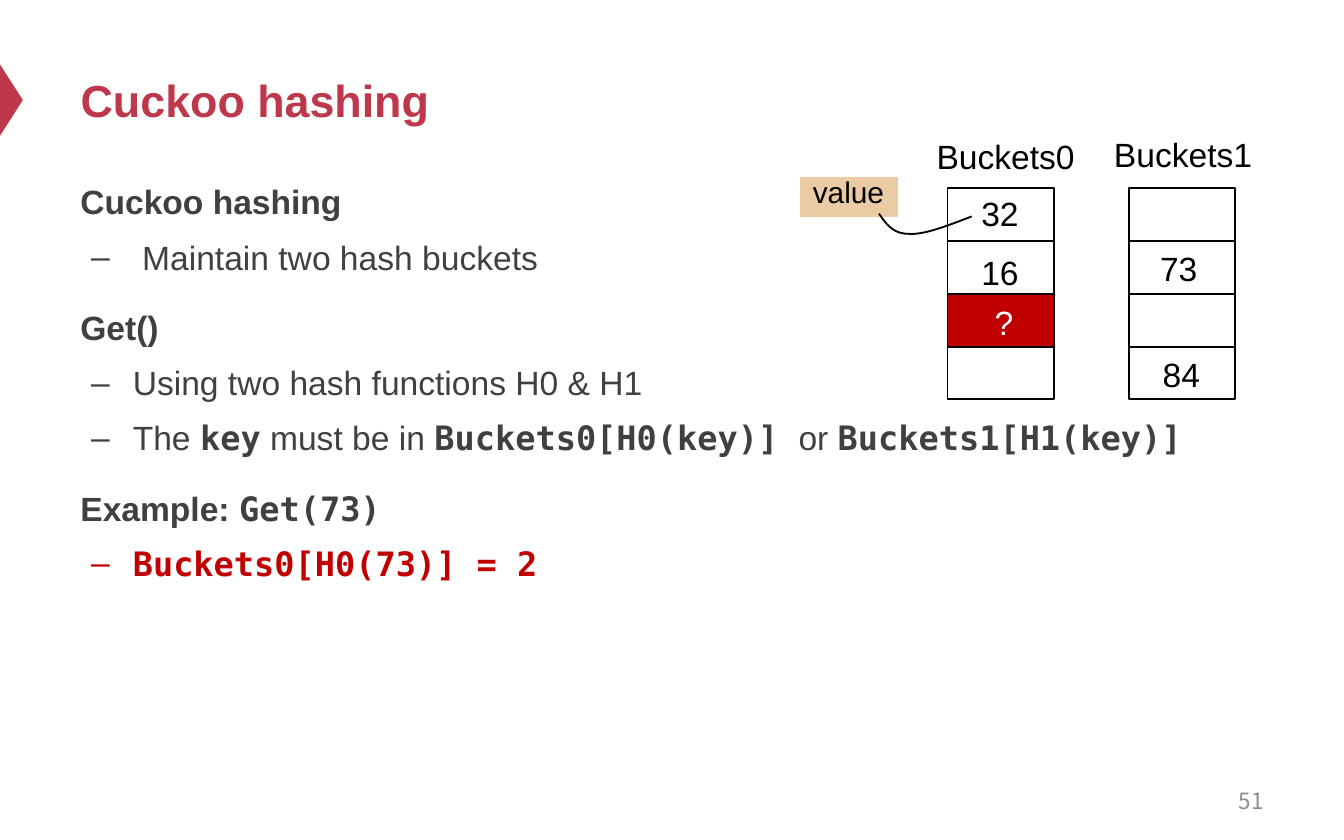
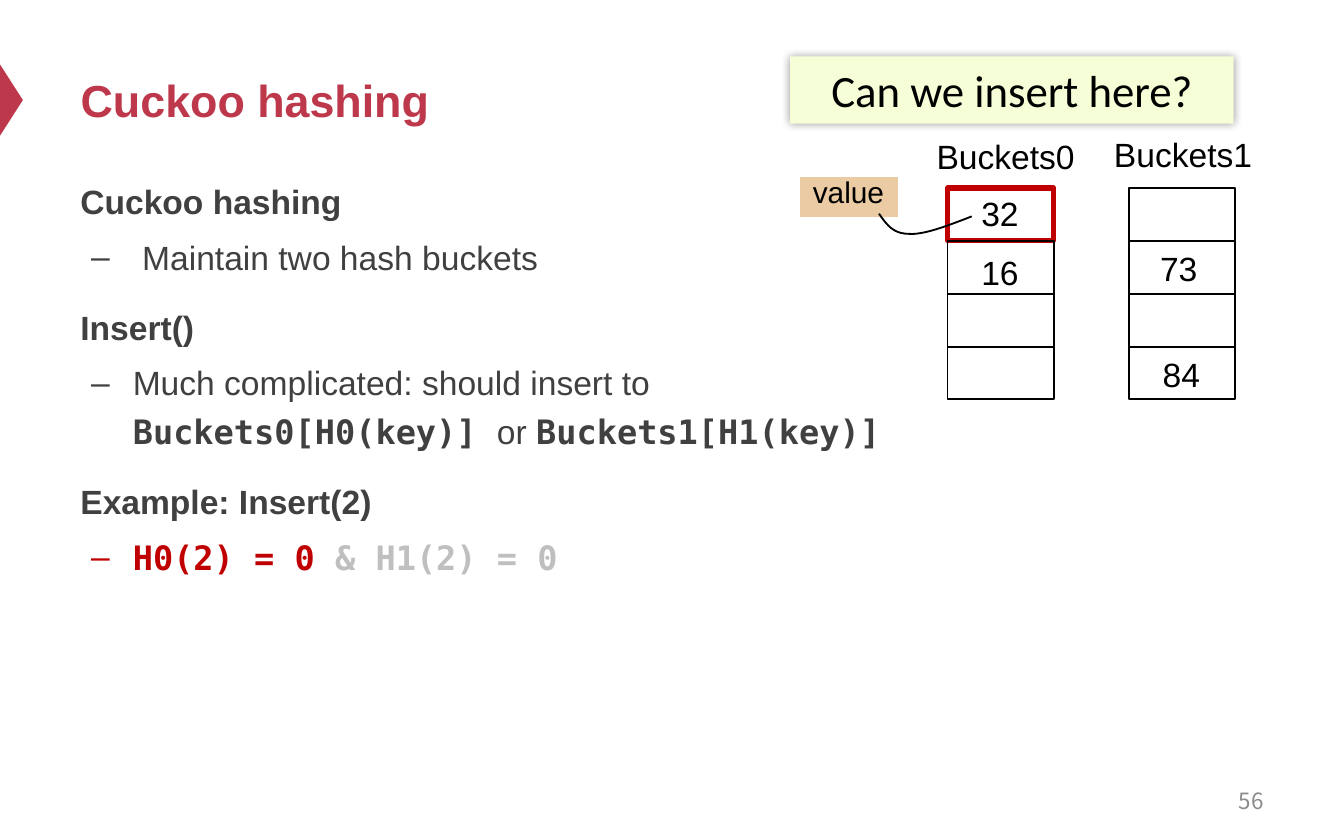
from dataclasses import dataclass

from lxml import etree
from pptx import Presentation
from pptx.dml.color import RGBColor
from pptx.enum.shapes import MSO_SHAPE
from pptx.enum.text import MSO_ANCHOR, MSO_AUTO_SIZE, PP_ALIGN
from pptx.oxml.ns import qn
from pptx.util import Inches, Pt

RECTANGLE = MSO_SHAPE.RECTANGLE
TRIANGLE = MSO_SHAPE.ISOSCELES_TRIANGLE
TOP, MIDDLE = MSO_ANCHOR.TOP, MSO_ANCHOR.MIDDLE
LEFT, CENTER, RIGHT = PP_ALIGN.LEFT, PP_ALIGN.CENTER, PP_ALIGN.RIGHT
NO_AUTOFIT = MSO_AUTO_SIZE.NONE
TITLE_ONLY = 5


@dataclass(frozen=True)
class Theme:
    accent: str = "BE384B"
    body: str = "404040"
    black: str = "000000"
    white: str = "FFFFFF"
    red: str = "C00000"
    faded: str = "BFBFBF"
    number: str = "8C8C8C"
    tag: str = "EACBA3"
    callout: str = "F5FED6"
    sans: str = "Arial"
    mono: str = "DejaVu Sans Mono"
    callout_font: str = "Calibri"
    number_font: str = "Noto Sans CJK SC"
    title_size: int = 24
    body_size: int = 18
    tag_size: int = 16
    number_size: int = 12


THEME = Theme()

# Run formats used in the body text
PLAIN = {}
BOLD = {"bold": True}
CODE = {"bold": True, "font": THEME.mono}
RED_CODE = {**CODE, "color": THEME.red}
FADED_CODE = {**CODE, "color": THEME.faded}

# Bucket geometry
CELL_WIDTH, CELL_HEIGHT = 0.79, 0.39
CELL_PITCH = 0.394
VALUE_WIDTH, VALUE_HEIGHT = 0.48, 0.4


def add_span(para, text, font=THEME.sans, size=THEME.body_size,
             color=THEME.body, bold=False):
    span = para.add_run()
    span.text = text
    span.font.name = font
    span.font.size = Pt(size)
    span.font.bold = bold
    span.font.color.rgb = RGBColor.from_string(color)


def write_text(shape, text, align=LEFT, anchor=TOP, wrap=True, **style):
    frame = shape.text_frame
    frame.word_wrap = wrap
    frame.auto_size = NO_AUTOFIT
    frame.vertical_anchor = anchor
    para = frame.paragraphs[0]
    para.alignment = align
    add_span(para, text, **style)


def add_box(page, box):
    return page.shapes.add_textbox(*map(Inches, box))


def paint(shape, fill=None, line=None, weight=1):
    shape.shadow.inherit = False
    if fill:
        shape.fill.solid()
        shape.fill.fore_color.rgb = RGBColor.from_string(fill)
    else:
        shape.fill.background()
    if line:
        shape.line.color.rgb = RGBColor.from_string(line)
        shape.line.width = Pt(weight)
    else:
        shape.line.fill.background()


def add_block(page, kind, box, **look):
    shape = page.shapes.add_shape(kind, *map(Inches, box))
    paint(shape, **look)
    return shape


def add_page(deck, title, number):
    page = deck.slides.add_slide(deck.slide_layouts[TITLE_ONLY])
    # Marker at the left edge
    marker = add_block(page, TRIANGLE, (-0.18, 0.66, 0.53, 0.17),
                       fill=THEME.accent)
    marker.rotation = 90
    # Title
    heading = page.shapes.title
    heading.left, heading.top = Inches(0.5), Inches(0.25)
    heading.width, heading.height = Inches(9), Inches(0.98)
    write_text(heading, title, anchor=MIDDLE, size=THEME.title_size,
               color=THEME.accent, bold=True)
    # Page number
    write_text(add_box(page, (7.17, 5.79, 2.33, 0.33)), str(number),
               align=RIGHT, anchor=MIDDLE, font=THEME.number_font,
               size=THEME.number_size, color=THEME.number)
    return page


def add_dash(para):
    para.level = 1
    properties = para._p.get_or_add_pPr()
    properties.set("marL", str(Inches(0.39)))
    properties.set("indent", str(Inches(-0.31)))
    etree.SubElement(properties, qn("a:buFont")).set("typeface", THEME.sans)
    etree.SubElement(properties, qn("a:buChar")).set("char", "–")


def add_body(page, box, sections):
    frame = add_box(page, box).text_frame
    frame.word_wrap = True
    rows = [(index == 0, spans) for section in sections
            for index, spans in enumerate(section)]
    for index, (is_heading, spans) in enumerate(rows):
        para = frame.add_paragraph() if index else frame.paragraphs[0]
        if not is_heading:
            add_dash(para)
        para.line_spacing = 1.2
        if index:
            para.space_before = Pt(12 if is_heading else 3.6)
        for text, style in spans:
            add_span(para, text, **style)


def add_bucket(page, left, top, values, looks):
    """Stack four cells; values holds (row, text, x shift, y shift, color)."""
    for row in range(4):
        look = {"line": THEME.black, **looks.get(row, {})}
        add_block(page, RECTANGLE, (left, top + row * CELL_PITCH,
                                    CELL_WIDTH, CELL_HEIGHT), **look)
    for row, text, shift_x, shift_y, color in values:
        box = (left + shift_x, top + row * CELL_PITCH + shift_y,
               VALUE_WIDTH, VALUE_HEIGHT)
        write_text(add_box(page, box), text, align=CENTER, wrap=False,
                   color=color)


def curve_points(start, curves, steps=12):
    """Points along a chain of cubic curves, after the start."""
    points = []
    for first, second, end in curves:
        for step in range(1, steps + 1):
            t = step / steps
            weights = ((1 - t) ** 3, 3 * t * (1 - t) ** 2,
                       3 * t ** 2 * (1 - t), t ** 3)
            corners = (start, first, second, end)
            points.append(tuple(
                sum(w * corner[axis] for w, corner in zip(weights, corners))
                for axis in (0, 1)))
        start = end
    return points


def add_value_tag(page, left, top):
    add_block(page, RECTANGLE, (left, top, 0.76, 0.33), fill=THEME.tag,
              line=THEME.white, weight=2)
    write_text(add_box(page, (left + 0.01, top - 0.06, 0.74, 0.37)), "value",
               wrap=False, size=THEME.tag_size, color=THEME.black)
    # Curve from the first cell back to the tag
    start = (1.29, 0.31)
    curves = [((1.11, 0.38), (0.93, 0.45), (0.82, 0.44)),
              ((0.70, 0.44), (0.65, 0.36), (0.60, 0.29))]
    points = [(Inches(left + x), Inches(top + y))
              for x, y in [start, *curve_points(start, curves)]]
    builder = page.shapes.build_freeform(*points[0])
    builder.add_line_segments(points[1:], close=False)
    paint(builder.convert_to_shape(), line=THEME.black)


def add_diagram(page, left, top, looks, extra_values=()):
    first_values = [(0, "32", 0.15, -0.01, THEME.black),
                    (1, "16", 0.15, 0.03, THEME.black), *extra_values]
    second_values = [(1, "73", 0.13, 0, THEME.black),
                     (3, "84", 0.15, 0, THEME.black)]
    second_left = left + 1.35
    add_bucket(page, left, top, first_values, looks)
    add_bucket(page, second_left, top, second_values, {})
    # Bucket names
    for name, x, y in (("Buckets0", left - 0.18, top - 0.44),
                       ("Buckets1", second_left - 0.21, top - 0.45)):
        write_text(add_box(page, (x, y, 1.31, 0.4)), name, color=THEME.black)
    add_value_tag(page, left - 1.11, top - 0.1)


def add_callout(page, box, text):
    callout = add_block(page, RECTANGLE, box, fill=THEME.callout)
    write_text(callout, text, align=CENTER, anchor=MIDDLE,
               font=THEME.callout_font, size=THEME.title_size,
               color=THEME.black)
    # Soft shadow on all sides
    effects = callout._element.spPr.find(qn("a:effectLst"))
    shadow = etree.SubElement(effects, qn("a:outerShdw"),
                              blurRad=str(Pt(5)), dist="0", dir="0")
    color = etree.SubElement(shadow, qn("a:srgbClr"), val=THEME.black)
    etree.SubElement(color, qn("a:alpha"), val="40000")


INTRO = [[("Cuckoo hashing", BOLD)], [(" Maintain two hash buckets", PLAIN)]]
EITHER_BUCKET = [("Buckets0[H0(key)] ", CODE), ("or ", PLAIN),
                 ("Buckets1[H1(key)]", CODE)]


def build_get_page(deck):
    page = add_page(deck, "Cuckoo hashing", 51)
    add_body(page, (0.5, 1.24, 9, 4.12), [
        INTRO,
        [[("Get()", BOLD)],
         [("Using two hash functions H0 & H1", PLAIN)],
         [("The ", PLAIN), ("key", CODE), (" must be in ", PLAIN),
          *EITHER_BUCKET]],
        [[("Example: ", BOLD), ("Get(73)", CODE)],
         [("Buckets0[H0(73)] = 2", RED_CODE)]],
    ])
    add_diagram(page, 7.05, 1.4, {2: {"fill": THEME.red}},
                [(2, "?", 0.18, 0.01, THEME.white)])


def build_insert_page(deck):
    page = add_page(deck, "Cuckoo hashing", 56)
    add_body(page, (0.5, 1.24, 6.67, 4.12), [
        INTRO,
        [[("Insert()", BOLD)],
         [("Much complicated: should insert to ", PLAIN), *EITHER_BUCKET]],
        [[("Example: Insert(2)", BOLD)],
         [("H0(2) = 0 ", RED_CODE), ("& H1(2) = 0", FADED_CODE)]],
    ])
    add_diagram(page, 7.05, 1.4, {0: {"line": THEME.red, "weight": 3}})
    add_callout(page, (5.88, 0.42, 3.3, 0.5), "Can we insert here?")


def main():
    deck = Presentation()
    deck.slide_width, deck.slide_height = Inches(10), Inches(6.25)
    build_get_page(deck)
    build_insert_page(deck)
    deck.save("out.pptx")


if __name__ == "__main__":
    main()
